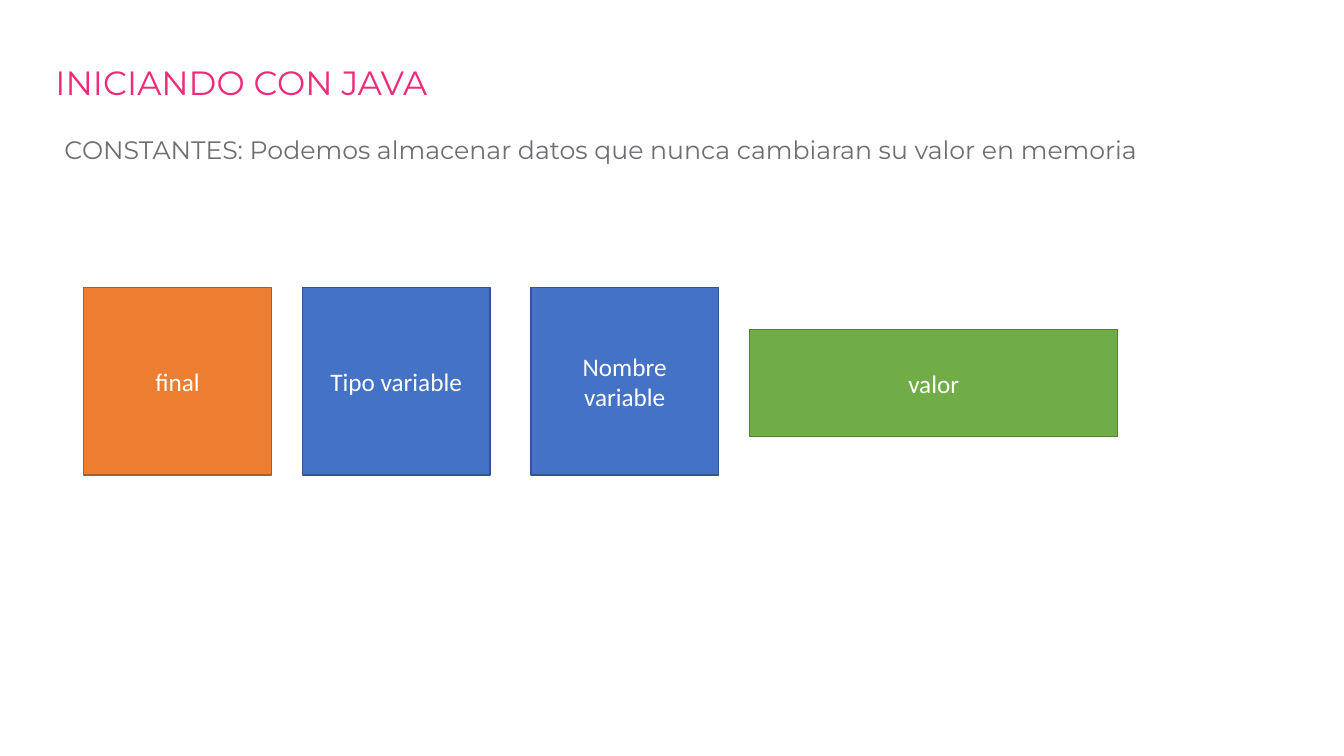
import pptx
import pptx.util
import pptx.dml.color
import pptx.enum.shapes
import pptx.enum.text

Pt = pptx.util.Pt
ALIGN = pptx.enum.text.PP_ALIGN
ANCHOR = pptx.enum.text.MSO_ANCHOR

# Content
HEADING = "INICIANDO CON JAVA"
DEFINITION = "CONSTANTES: Podemos almacenar datos que nunca cambiaran su valor en memoria"
COLOURS = {
    "heading": "EE2B7B", "definition": "6E6F72", "label": "FFFFFF",
    "orange": "ED7D31", "orange edge": "AF5C24",
    "blue": "4472C4", "blue edge": "325491",
    "green": "70AD47", "green edge": "538035",
}
SQUARE = (134, 134)
SQUARE_TOP = 205.2
# label, colour, left, top, (width, height)
DECLARATION = [
    ("final", "orange", 59.8, SQUARE_TOP, SQUARE),
    ("Tipo variable", "blue", 216, SQUARE_TOP, SQUARE),
    ("Nombre variable", "blue", 379.2, SQUARE_TOP, SQUARE),
    ("valor", "green", 535.5, 235.5, (263, 76.3)),
]


def colour(name):
    return pptx.dml.color.RGBColor.from_string(COLOURS[name])


def write(shape, text, size, font, ink, align, anchor):
    frame = shape.text_frame
    frame.text = text
    frame.word_wrap = True
    frame.auto_size = pptx.enum.text.MSO_AUTO_SIZE.NONE
    frame.vertical_anchor = anchor
    paragraph = frame.paragraphs[0]
    paragraph.alignment = align
    run_font = paragraph.runs[0].font
    run_font.size = Pt(size)
    run_font.name = font
    run_font.color.rgb = colour(ink)


deck = pptx.Presentation()
deck.slide_width, deck.slide_height = Pt(960), Pt(540)
slide = deck.slides.add_slide(deck.slide_layouts[5])

# Heading
heading = slide.shapes.title
heading.left, heading.top = Pt(32.4), Pt(43.9)
heading.width, heading.height = Pt(828), Pt(104.4)
write(heading, HEADING, 24, "Montserrat", "heading", ALIGN.LEFT, ANCHOR.TOP)
heading.text_frame.paragraphs[0].line_spacing = 0.9

# Definition
definition = slide.shapes.add_textbox(Pt(38.9), Pt(92.2), Pt(900.7), Pt(72.7))
write(definition, DEFINITION, 18, "Montserrat", "definition", ALIGN.LEFT, ANCHOR.TOP)

# Parts of a constant declaration
for label, fill, left, top, (width, height) in DECLARATION:
    part = slide.shapes.add_shape(
        pptx.enum.shapes.MSO_SHAPE.RECTANGLE, Pt(left), Pt(top), Pt(width), Pt(height))
    part.shadow.inherit = False
    part.fill.solid()
    part.fill.fore_color.rgb = colour(fill)
    part.line.color.rgb = colour(fill + " edge")
    part.line.width = Pt(1)
    write(part, label, 18, "Calibri", "label", ALIGN.CENTER, ANCHOR.MIDDLE)

deck.save("out.pptx")
